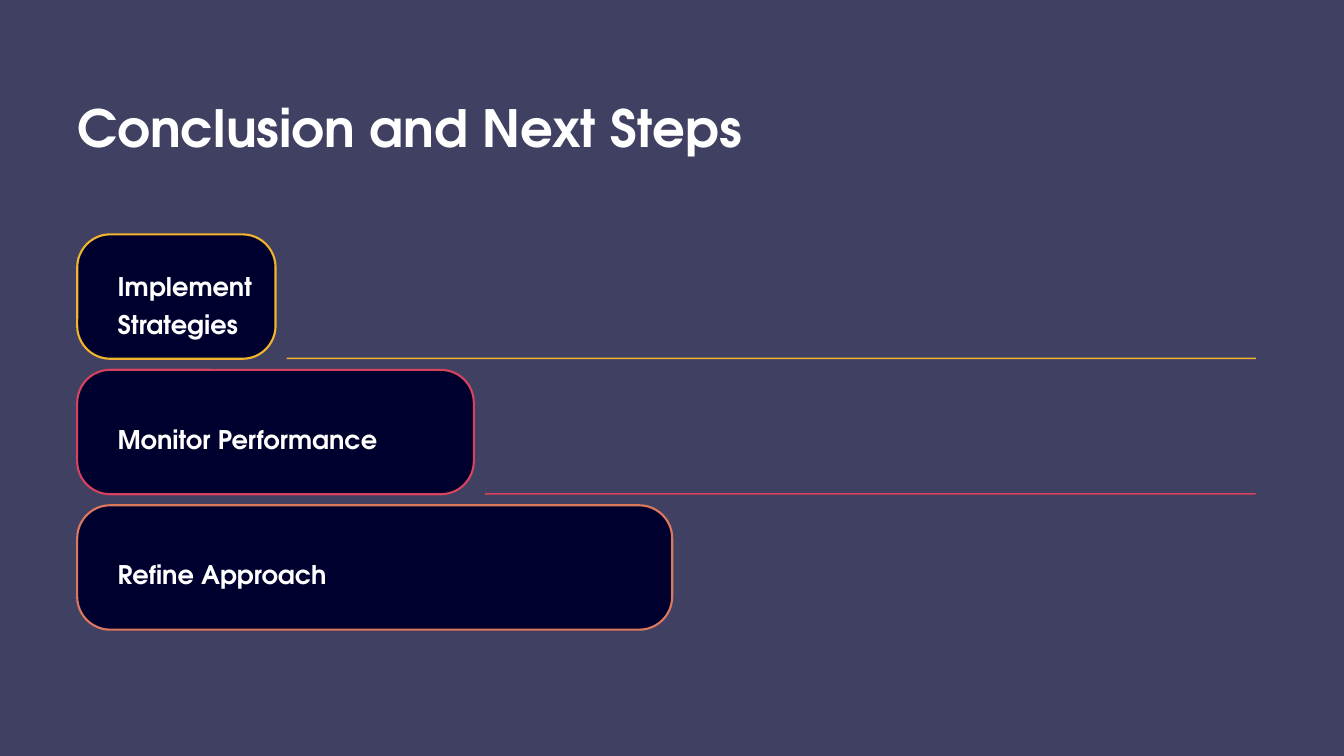
from pptx import Presentation
from pptx.dml.color import RGBColor
from pptx.enum.shapes import MSO_SHAPE as Shape
from pptx.enum.text import MSO_ANCHOR as Anchor, MSO_AUTO_SIZE as AutoSize, PP_ALIGN as Align
from pptx.util import Pt

COLORS = {
    "background": "404062",
    "navy": "00002E",
    "white": "FFFFFF",
    "yellow": "F2B42D",
    "red": "D7425E",
    "orange": "DD785E",
}
FONT = "TeX Gyre Adventor"
STEPS = [
    ("Implement Strategies", "yellow", 24.5, 63.4),
    ("Monitor Performance", "red", 39.6, 27.4),
    ("Refine Approach", "orange", 39.6, 27.4),
]
LEFT, RIGHT = 66.2, 1076.4


def paint(fill, name):
    """Give a fill one solid palette colour."""
    fill.solid()
    fill.fore_color.rgb = RGBColor.from_string(COLORS[name])


def write(frame, text, size):
    """Set bold white text at the top left of a frame without margins."""
    frame.margin_left = frame.margin_right = frame.margin_top = frame.margin_bottom = 0
    frame.word_wrap = True
    frame.auto_size = AutoSize.NONE
    frame.vertical_anchor = Anchor.TOP
    para = frame.paragraphs[0]
    para.text = text
    para.alignment = Align.LEFT
    para.line_spacing = 1.25
    para.space_before = Pt(0)
    para.font.name = FONT
    para.font.size = Pt(size)
    para.font.bold = True
    para.font.color.rgb = RGBColor.from_string(COLORS["white"])


def add_title(page, left, top, width, height):
    """Move and format the title placeholder."""
    title = page.shapes.title
    title.left, title.top, title.width, title.height = map(Pt, (left, top, width, height))
    write(title.text_frame, "Conclusion and Next Steps", 44)


def add_block(page, kind, box, fill):
    """Add a filled shape without shadow or outline."""
    block = page.shapes.add_shape(kind, *map(Pt, box))
    block.shadow.inherit = False
    paint(block.fill, fill)
    block.line.fill.background()
    return block


def add_step(page, box, step):
    """Add one step: an outlined card with its label."""
    left, top, width, height = box
    text, color, inset, label_height = step
    card = add_block(page, Shape.ROUNDED_RECTANGLE, box, "navy")
    card.adjustments[0] = 0.265
    paint(card.line.fill, color)
    card.line.width = Pt(1.8)
    label = page.shapes.add_textbox(
        Pt(left + 34.6), Pt(top + inset), Pt(width - 34.6), Pt(label_height)
    )
    write(label.text_frame, text, 22)


def add_steps(page, left, top, right):
    """Stack the steps, each card wider than the last, with rules between them."""
    unit, height, gap = 170, 106.6, 9.5
    for index, step in enumerate(STEPS):
        width = unit * (index + 1)
        row_top = top + index * (height + gap)
        add_step(page, (left, row_top, width, height), step)
        if index < len(STEPS) - 1:
            start = left + width + gap
            rule = (start, row_top + height - 0.9, right - start, 1.3)
            add_block(page, Shape.RECTANGLE, rule, step[1])


def main():
    """Build and save the slide."""
    deck = Presentation()
    deck.slide_width, deck.slide_height = Pt(1152), Pt(648)
    page = deck.slides.add_slide(deck.slide_layouts[5])
    paint(page.background.fill, "background")
    add_title(page, LEFT, 69.1, 604, 55.4)
    add_steps(page, LEFT, 200.9, RIGHT)
    deck.save("out.pptx")


if __name__ == "__main__":
    main()
